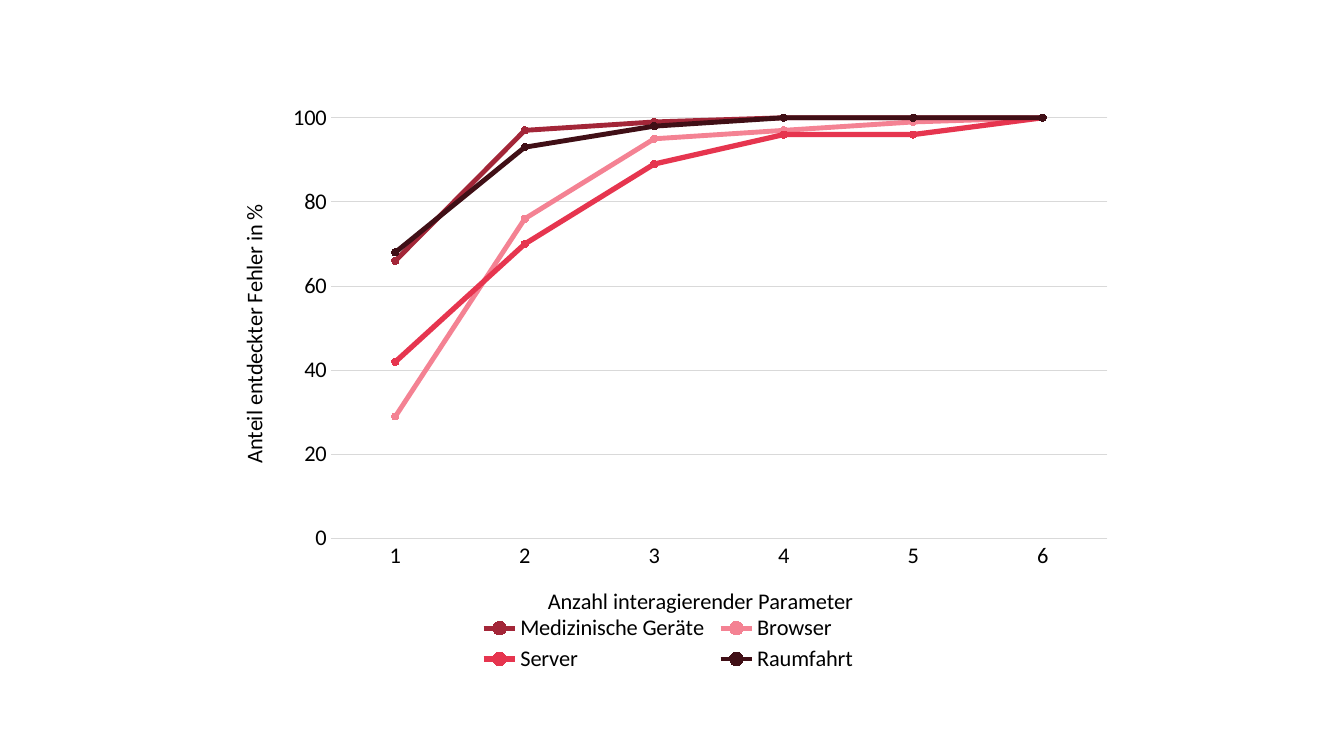
"""Build a slide with a line chart of fault detection by interacting parameters."""
from dataclasses import dataclass

from lxml import etree
from pptx import Presentation
from pptx.chart.axis import CategoryAxis, ValueAxis
from pptx.chart.data import CategoryChartData
from pptx.dml.color import RGBColor
from pptx.dml.line import LineFormat
from pptx.enum.chart import XL_CHART_TYPE as ChartType
from pptx.enum.chart import XL_LEGEND_POSITION as LegendPosition
from pptx.enum.chart import XL_MARKER_STYLE as MarkerStyle
from pptx.enum.chart import XL_TICK_MARK as TickMark
from pptx.oxml.ns import qn
from pptx.text.text import Font
from pptx.util import Emu, Pt

SCALE = 914400 / 100.8
BLACK, GRID = "000000", "D9D9D9"


@dataclass
class Curve:
    name: str
    values: tuple[int, ...]
    color: str
    width: float = 3.5


@dataclass
class Box:
    left: int
    top: int
    width: int = 0
    height: int = 0


CURVES = (
    Curve("Medizinische Geräte", (66, 97, 99, 100, 100, 100), "A32638"),
    Curve("Browser", (29, 76, 95, 97, 99, 100), "F48293"),
    Curve("Server", (42, 70, 89, 96, 96, 100), "E6354F", 3.75),
    Curve("Raumfahrt", (68, 93, 98, 100, 100, 100), "400F16"),
)
CHART = Box(224, 80, 896, 598)
PLOT = Box(331, 97, 777, 442)
LEGEND = Box(475, 611, 387, 65)
CATEGORY_TITLE = Box(544, 582)
VALUE_TITLE = Box(235, 200)


def px(pixels: int) -> Emu:
    return Emu(round(pixels * SCALE))


def rgb(color: str) -> RGBColor:
    return RGBColor.from_string(color)


def set_font(font: Font) -> None:
    font.name, font.size, font.bold = "Calibri", Pt(16), False
    font.color.rgb = rgb(BLACK)


def set_line(line: LineFormat, color: str, width: float) -> None:
    line.color.rgb = rgb(color)
    line.width = Pt(width)


def place(parent: etree._Element, index: int, box: Box, inner: bool = False) -> None:
    for old_layout in parent.findall(qn("c:layout")):
        parent.remove(old_layout)
    layout = etree.Element(qn("c:layout"))
    manual = etree.SubElement(layout, qn("c:manualLayout"))
    settings = {"layoutTarget": "inner"} if inner else {}
    settings |= {
        "xMode": "edge",
        "yMode": "edge",
        "x": f"{(box.left - CHART.left) / CHART.width:.3f}",
        "y": f"{(box.top - CHART.top) / CHART.height:.3f}",
    }
    if box.width:
        settings |= {
            "w": f"{box.width / CHART.width:.3f}",
            "h": f"{box.height / CHART.height:.3f}",
        }
    for tag, value in settings.items():
        etree.SubElement(manual, qn(f"c:{tag}")).set("val", value)
    parent.insert(index, layout)


def style_axis(axis: CategoryAxis | ValueAxis, title: str, box: Box) -> None:
    axis.major_tick_mark = axis.minor_tick_mark = TickMark.NONE
    set_font(axis.tick_labels.font)
    axis_title = axis.axis_title
    axis_title.text_frame.text = title
    set_font(axis_title.text_frame.paragraphs[0].font)
    place(axis_title._element, 1, box)


presentation = Presentation()
presentation.slide_width, presentation.slide_height = px(1344), px(756)
slide = presentation.slides.add_slide(presentation.slide_layouts[6])

chart_data = CategoryChartData()
chart_data.categories = [str(count) for count in range(1, 7)]
for curve in CURVES:
    chart_data.add_series(curve.name, curve.values)

frame = slide.shapes.add_chart(
    ChartType.LINE_MARKERS,
    px(CHART.left), px(CHART.top), px(CHART.width), px(CHART.height),
    chart_data,
)
chart = frame.chart
chart.has_title = False
set_font(chart.font)
place(chart._chartSpace.chart.plotArea, 0, PLOT, inner=True)

style_axis(chart.category_axis, "Anzahl interagierender Parameter", CATEGORY_TITLE)
set_line(chart.category_axis.format.line, GRID, 0.75)

value_axis = chart.value_axis
style_axis(value_axis, "Anteil entdeckter Fehler in %", VALUE_TITLE)
value_axis.minimum_scale, value_axis.maximum_scale = 0, 105
value_axis.major_unit = 20
value_axis.format.line.fill.background()
set_line(value_axis.major_gridlines.format.line, GRID, 0.75)

chart.has_legend = True
legend = chart.legend
legend.position = LegendPosition.BOTTOM
legend.include_in_layout = False
set_font(legend.font)
place(legend._element, 1, LEGEND)

chart.plots[0].vary_by_categories = False
for series, curve in zip(chart.plots[0].series, CURVES):
    series.smooth = False
    set_line(series.format.line, curve.color, curve.width)
    marker = series.marker
    marker.style, marker.size = MarkerStyle.CIRCLE, 5
    marker.format.fill.solid()
    marker.format.fill.fore_color.rgb = rgb(curve.color)
    set_line(marker.format.line, curve.color, 0.75)

presentation.save("out.pptx")
